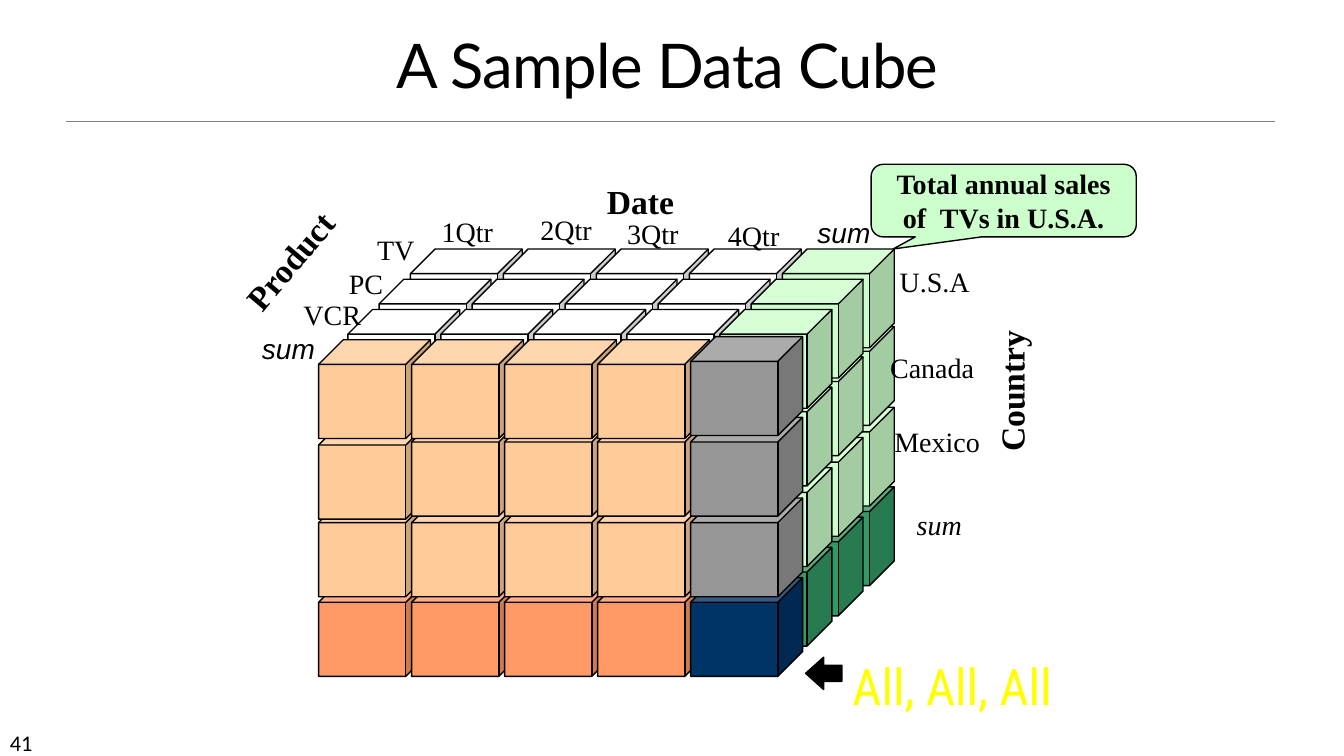
import pptx
import pptx.dml.color
import pptx.enum.shapes
import pptx.enum.text
import pptx.oxml
import pptx.oxml.ns
import pptx.util
from pptx.util import Inches

SHAPES = pptx.enum.shapes.MSO_SHAPE
CENTER = pptx.enum.text.PP_ALIGN.CENTER
LEFT = pptx.enum.text.PP_ALIGN.LEFT
MIDDLE = pptx.enum.text.MSO_ANCHOR.MIDDLE
TOP = pptx.enum.text.MSO_ANCHOR.TOP
FIT = pptx.enum.text.MSO_AUTO_SIZE

COLORS = {
    "black": "000000",
    "rule": "808080",
    "detail": "FFFFFF",
    "date_sum": "CCFFCC",
    "country_date_sum": "339966",
    "product_sum": "FFCC99",
    "product_country_sum": "FF9966",
    "product_date_sum": "969696",
    "grand_sum": "003366",
    "yellow": "FFFF00",
    "amber": "FF9933",
}

FORMATS = {
    "title": {"name": "Lato", "size": pptx.util.Pt(44)},
    "axis": {"name": "Times New Roman", "size": pptx.util.Pt(24), "bold": True},
    "member": {"name": "Times New Roman", "size": pptx.util.Pt(20)},
    "member_sum": {"name": "Times New Roman", "size": pptx.util.Pt(20), "italic": True},
    "edge_sum": {"name": "Arial", "size": pptx.util.Pt(20), "italic": True},
    "callout": {"name": "Times New Roman", "size": pptx.util.Pt(20), "bold": True},
    "all": {"name": "Roboto Condensed", "size": pptx.util.Pt(36)},
    "number": {"name": "Calibri", "size": pptx.util.Pt(16)},
}

LABELS = [
    ("Date", "axis", LEFT, 5.92, 1.75, 0.87, 0.5, 0),
    ("Product", "axis", LEFT, 2.2, 2.33, 1.35, 0.5, 310.3),
    ("Country", "axis", LEFT, 9.32, 3.62, 1.42, 0.5, 270),
    ("sum", "edge_sum", LEFT, 2.5, 3.24, 0.73, 0.43, 0),
    ("sum", "edge_sum", LEFT, 8.01, 2.09, 0.73, 0.43, 0),
    ("TV", "member", CENTER, 3.64, 2.26, 0.57, 0.43, 0),
    ("PC", "member", CENTER, 3.36, 2.59, 0.54, 0.43, 0),
    ("VCR", "member", CENTER, 2.91, 2.9, 0.77, 0.43, 0),
    ("1Qtr", "member", CENTER, 4.28, 2.08, 0.71, 0.43, 0),
    ("2Qtr", "member", CENTER, 5.26, 2.06, 0.71, 0.43, 0),
    ("3Qtr", "member", CENTER, 6.12, 2.1, 0.71, 0.43, 0),
    ("4Qtr", "member", CENTER, 7.12, 2.12, 0.71, 0.43, 0),
    ("U.S.A", "member", CENTER, 8.82, 2.57, 0.9, 0.43, 0),
    ("Canada", "member", CENTER, 8.72, 3.43, 1.05, 0.43, 0),
    ("Mexico", "member", CENTER, 8.76, 4.16, 1.07, 0.43, 0),
    ("sum", "member_sum", CENTER, 8.99, 4.99, 0.65, 0.43, 0),
]

CUBE_LEFT, COLUMN_STEP = 3.16, 3.69 / 4
ROW_TOPS = [3.37, 4.14, 4.94, 5.73]
DEPTH_SHIFTS = [0, 0.29, 0.6, 0.91]
DEPTH_RISE = 0.3
NUDGES = {(0, 0, 4): -0.03, (0, 1, 0): 0.03}
SUM_ROW, SUM_COLUMN = 3, 4


def rgb(name):
    return pptx.dml.color.RGBColor.from_string(COLORS[name])


def write_text(frame, lines, style, align, anchor=TOP):
    frame.vertical_anchor = anchor
    frame.text = "\n".join(lines)
    for paragraph in frame.paragraphs:
        paragraph.alignment = align
        font = paragraph.runs[0].font
        for attribute, value in FORMATS[style].items():
            setattr(font, attribute, value)
        font.color.rgb = rgb("black")


def add_label(slide, text, style, align, left, top, width, height, rotation=0):
    label = slide.shapes.add_textbox(
        Inches(left), Inches(top), Inches(width), Inches(height))
    label.rotation = rotation
    write_text(label.text_frame, [text], style, align)
    label.text_frame.word_wrap = False
    label.text_frame.auto_size = FIT.SHAPE_TO_FIT_TEXT
    return label


def add_outlined(slide, kind, left, top, width, height, color, adjustments):
    shape = slide.shapes.add_shape(
        kind, Inches(left), Inches(top), Inches(width), Inches(height))
    for index, value in enumerate(adjustments):
        shape.adjustments[index] = value
    shape.shadow.inherit = False
    shape.fill.solid()
    shape.fill.fore_color.rgb = rgb(color)
    shape.line.color.rgb = rgb("black")
    shape.line.width = pptx.util.Pt(1)
    return shape


def add_title(slide):
    title = slide.shapes.title
    title.left, title.top = Inches(2.33), Inches(0.38)
    title.width, title.height = Inches(8.58), Inches(0.63)
    write_text(title.text_frame, ["A Sample Data Cube"], "title", CENTER, MIDDLE)
    title.text_frame.auto_size = FIT.NONE
    heading = title.text_frame.paragraphs[0]
    heading.line_spacing = 0.85
    heading.runs[0]._r.get_or_add_rPr().set("spc", "-50")


def add_title_rule(slide):
    rule = slide.shapes.add_connector(
        pptx.enum.shapes.MSO_CONNECTOR.STRAIGHT,
        Inches(0.65), Inches(1.2), Inches(12.65), Inches(1.2))
    rule.line.color.rgb = rgb("rule")
    rule.line.width = pptx.util.Pt(0.5)
    rule._element.spPr.append(pptx.oxml.parse_xml(
        f"<a:effectLst {pptx.oxml.ns.nsdecls('a')}/>"))


def add_slide_number(slide):
    number = add_label(slide, "41", "number", LEFT, 0, 7.18, 1.17, 0.3)
    number.text_frame.word_wrap = True
    number.text_frame.auto_size = FIT.NONE


def cell_color(depth, row, column):
    if depth == 0:
        if column == SUM_COLUMN:
            return "grand_sum" if row == SUM_ROW else "product_date_sum"
        return "product_country_sum" if row == SUM_ROW else "product_sum"
    if column == SUM_COLUMN:
        return "country_date_sum" if row == SUM_ROW else "date_sum"
    return "detail"


def add_data_cube(slide):
    for depth in reversed(range(len(DEPTH_SHIFTS))):
        for row in reversed(range(len(ROW_TOPS))):
            for column in range(SUM_COLUMN + 1):
                if depth and row and column < SUM_COLUMN:
                    continue
                left = CUBE_LEFT + column * COLUMN_STEP + DEPTH_SHIFTS[depth]
                top = ROW_TOPS[row] - depth * DEPTH_RISE
                top += NUDGES.get((depth, row, column), 0)
                add_outlined(slide, SHAPES.CUBE, left, top, 1.11, 0.98,
                             cell_color(depth, row, column), [0.25])


def add_sales_callout(slide):
    callout = add_outlined(
        slide, SHAPES.ROUNDED_RECTANGULAR_CALLOUT, 8.64, 1.63, 2.63, 0.72,
        "date_sum", [-0.417, 0.667, 0.167])
    write_text(callout.text_frame, ["Total annual sales", "of  TVs in U.S.A."],
               "callout", CENTER, MIDDLE)
    callout.text_frame.word_wrap = False


def add_grand_total(slide):
    add_outlined(slide, SHAPES.LEFT_ARROW, 7.99, 6.52, 0.36, 0.32,
                 "black", [0.5, 0.559])
    total = add_label(slide, "All, All, All", "all", CENTER, 8.34, 6.45, 2.21, 0.69)
    run = total.text_frame.paragraphs[0].runs[0]
    run.font.fill.gradient()
    for stop, color in zip(run.font.fill.gradient_stops, ["yellow", "amber"]):
        stop.color.rgb = rgb(color)
    gradient = run._r.rPr.find(pptx.oxml.ns.qn("a:gradFill"))
    gradient.replace(
        gradient.find(pptx.oxml.ns.qn("a:lin")),
        pptx.oxml.parse_xml(
            f'<a:path {pptx.oxml.ns.nsdecls("a")} path="rect">'
            '<a:fillToRect l="50000" t="50000" r="50000" b="50000"/></a:path>'))


def main():
    deck = pptx.Presentation()
    deck.slide_width, deck.slide_height = Inches(13.33), Inches(7.5)
    slide = deck.slides.add_slide(deck.slide_layouts[5])
    add_title_rule(slide)
    add_slide_number(slide)
    add_title(slide)
    add_sales_callout(slide)
    add_grand_total(slide)
    add_data_cube(slide)
    for label in LABELS:
        add_label(slide, *label)
    deck.save("out.pptx")


if __name__ == "__main__":
    main()
